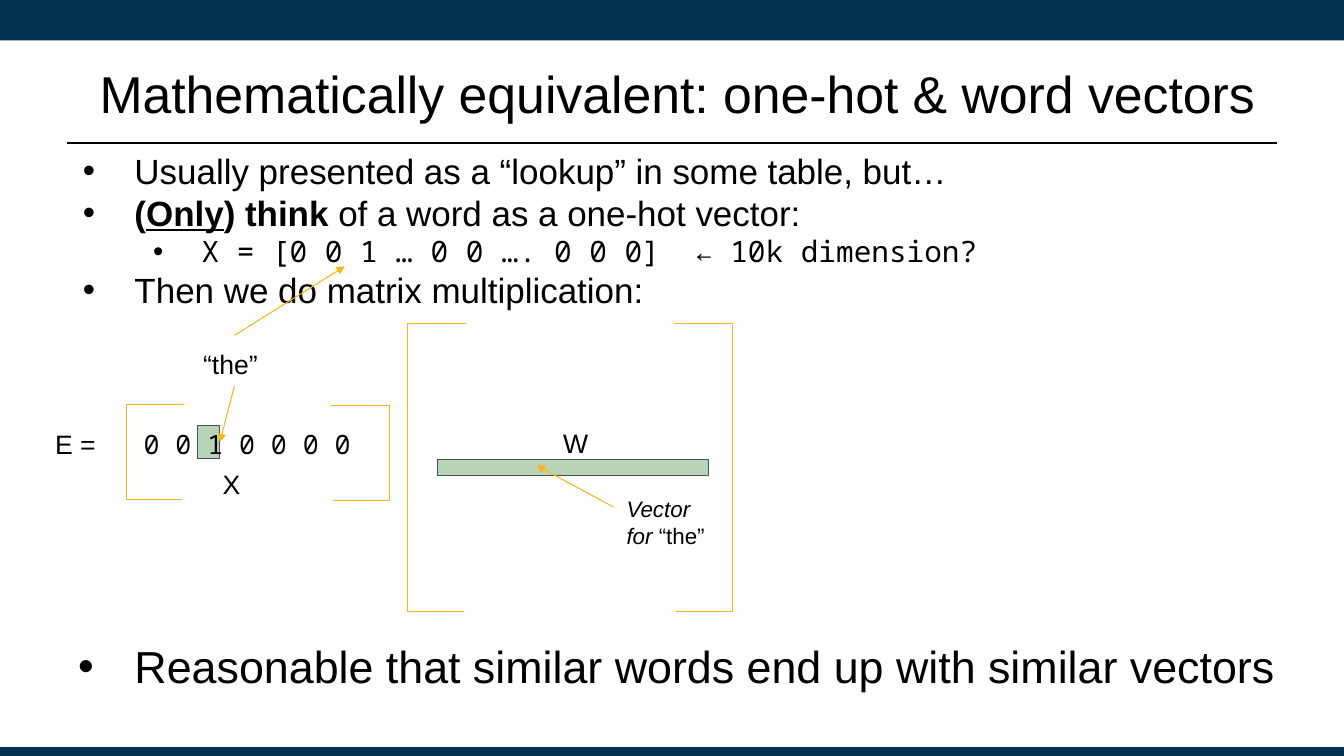
"""Build the slide on one-hot vectors and word vectors."""
from dataclasses import dataclass

from lxml import etree
from pptx import Presentation
from pptx import util as u
from pptx.dml.color import RGBColor
from pptx.enum import shapes, text
from pptx.oxml import ns

Cm = u.Cm


@dataclass(frozen=True)
class Theme:
    """Colours, fonts and type sizes of the slide."""

    navy: str = "003252"
    ink: str = "000000"
    gold: str = "FDB515"
    green: str = "B9D3B6"
    slate: str = "46535E"
    sans: str = "Arial"
    mono: str = "Noto Sans Mono"
    title: int = 37
    conclusion: int = 32
    body: int = 25
    code: int = 21
    label: int = 19
    note: int = 16


THEME = Theme()
INSET = (0.33, 0.33)
BODY_INSET = (0.25, 0.13)


def rgb(colour):
    """Turn a hex string into a colour."""
    return RGBColor.from_string(colour)


def add_run(paragraph, words, size, font=THEME.sans, **style):
    """Add one run, with bold, italic or underline given as style."""
    run = paragraph.add_run()
    run.text = words
    run.font.size = u.Pt(size)
    run.font.name = font
    run.font.color.rgb = rgb(THEME.ink)
    for name, value in style.items():
        setattr(run.font, name, value)


def add_frame(slide, box, inset=INSET, anchor=text.MSO_ANCHOR.TOP):
    """Add a wrapping text box and return it."""
    holder = slide.shapes.add_textbox(*map(Cm, box))
    frame = holder.text_frame
    frame.word_wrap = True
    frame.vertical_anchor = anchor
    frame.margin_left = frame.margin_right = Cm(inset[0])
    frame.margin_top = frame.margin_bottom = Cm(inset[1])
    return holder


def add_label(slide, box, words, size=THEME.label, **style):
    """Add a text box with a single run and return it."""
    label = add_frame(slide, box)
    add_run(label.text_frame.paragraphs[0], words, size, **style)
    return label


def add_bullet(paragraph, margin, hanging, level=0):
    """Give a paragraph a round bullet with a hanging indent."""
    paragraph.level = level
    properties = paragraph._p.get_or_add_pPr()
    properties.set("marL", str(Cm(margin)))
    properties.set("indent", str(-Cm(hanging)))
    colour = etree.SubElement(properties, ns.qn("a:buClr"))
    etree.SubElement(colour, ns.qn("a:srgbClr"), val=THEME.ink)
    etree.SubElement(properties, ns.qn("a:buFont"), typeface=THEME.sans)
    etree.SubElement(properties, ns.qn("a:buChar"), char="•")


def add_block(slide, box, fill, outline=None):
    """Add a filled rectangle and return it."""
    block = slide.shapes.add_shape(shapes.MSO_SHAPE.RECTANGLE, *map(Cm, box))
    block.shadow.inherit = False
    block.fill.solid()
    block.fill.fore_color.rgb = rgb(fill)
    if outline:
        block.line.color.rgb = rgb(outline)
        block.line.width = u.Pt(0.75)
    else:
        block.line.fill.background()
    return block


def add_line(slide, start, end, colour, width):
    """Add a straight connector without shadow and return it."""
    line = slide.shapes.add_connector(
        shapes.MSO_CONNECTOR.STRAIGHT, *map(Cm, start + end))
    line.line.color.rgb = rgb(colour)
    line.line.width = u.Pt(width)
    etree.SubElement(line._element.spPr, ns.qn("a:effectLst"))
    return line


def add_arrow(slide, start, end, source, side):
    """Add a gold arrow that leaves the given side of a label."""
    arrow = add_line(slide, start, end, THEME.gold, 0.75)
    etree.SubElement(arrow.line._get_or_add_ln(), ns.qn("a:tailEnd"), type="triangle")
    arrow.begin_connect(source, side)
    return arrow


def add_bracket(slide, spine, top, bottom, direction):
    """Draw a square bracket whose arms point right (1) or left (-1)."""
    upper_tip = spine + direction * 1.47
    lower_tip = spine + direction * 1.42
    outline = slide.shapes.build_freeform(Cm(upper_tip), Cm(top))
    corners = [(spine, top), (spine, bottom), (lower_tip, bottom)]
    outline.add_line_segments([(Cm(x), Cm(y)) for x, y in corners], close=False)
    bracket = outline.convert_to_shape()
    bracket.shadow.inherit = False
    bracket.fill.background()
    bracket.line.color.rgb = rgb(THEME.gold)
    bracket.line.width = u.Pt(0.75)


def add_master_bands(slide):
    """Draw the navy bands and the rule below the title."""
    add_block(slide, (0, 0, 33.87, 1.02), THEME.navy)
    add_block(slide, (0, 18.83, 33.87, 0.22), THEME.navy)
    add_line(slide, (1.7, 3.61), (32.18, 3.61), THEME.ink, 1.25)


def add_points(slide):
    """Write the title, the bullet list and the conclusion."""
    heading = add_frame(slide, (2.26, 0.22, 31.2, 4.24), BODY_INSET, text.MSO_ANCHOR.MIDDLE)
    add_run(heading.text_frame.paragraphs[0],
            "Mathematically equivalent: one-hot & word vectors", THEME.title)

    points = add_frame(slide, (1.44, 4.3, 30.48, 3.66), BODY_INSET,
                       text.MSO_ANCHOR.BOTTOM).text_frame
    lookup = points.paragraphs[0]
    one_hot, example, product = [points.add_paragraph() for _ in range(3)]
    for point in (lookup, one_hot, product):
        add_bullet(point, 1.7, 1.3)
    add_bullet(example, 3.39, 1.22, level=1)
    add_run(lookup, "Usually presented as a “lookup” in some table, but…", THEME.body)
    add_run(one_hot, "(", THEME.body, bold=True)
    add_run(one_hot, "Only", THEME.body, bold=True, underline=True)
    add_run(one_hot, ") think ", THEME.body, bold=True)
    add_run(one_hot, "of a word as a one-hot vector:", THEME.body)
    add_run(example, "X = [0 0 1 … 0 0 …. 0 0 0]  ← 10k dimension?",
            THEME.code, THEME.mono)
    add_run(product, "Then we do matrix multiplication:", THEME.body)

    conclusion = add_frame(slide, (1.44, 15.97, 31.5, 1.85), BODY_INSET)
    similar = conclusion.text_frame.paragraphs[0]
    add_bullet(similar, 1.7, 1.42)
    add_run(similar, "Reasonable that similar words end up with similar vectors",
            THEME.conclusion)


def add_product(slide):
    """Draw the product of the one-hot vector X and the matrix W."""
    hot_cell = add_block(slide, (4.98, 10.72, 0.56, 0.84), THEME.green, THEME.slate)
    add_label(slide, (3.29, 10.46, 6.2, 1.27), "0 0 1 0 0 0 0", font=THEME.mono)
    add_bracket(slide, 10.27, 8.15, 15.42, 1)
    add_bracket(slide, 18.46, 8.15, 15.42, -1)
    add_bracket(slide, 3.18, 10.19, 12.58, 1)
    add_bracket(slide, 9.82, 10.22, 12.61, -1)
    add_label(slide, (13.86, 10.43, 1.6, 1.27), "W")
    add_label(slide, (5.28, 11.46, 1.24, 1.09), "X")
    add_label(slide, (1.06, 10.46, 1.93, 1.27), "E =")
    add_block(slide, (11.03, 11.59, 6.83, 0.4), THEME.green, THEME.slate)

    word = add_label(slide, (4.79, 8.45, 2.24, 1.27), "“the”")
    add_arrow(slide, (5.91, 9.72), (5.54, 11.14), word, 2).end_connect(hot_cell, 3)
    add_arrow(slide, (5.91, 8.45), (8.69, 6.71), word, 0)

    row_note = add_label(slide, (15.46, 12.14, 2.82, 1.27), "Vector for ",
                         THEME.note, italic=True)
    add_run(row_note.text_frame.paragraphs[0], "“the”", THEME.note)
    add_arrow(slide, (15.46, 12.78), (13.52, 11.73), row_note, 1)


def main():
    """Build and save the slide."""
    deck = Presentation()
    deck.slide_width, deck.slide_height = Cm(33.87), Cm(19.05)
    slide = deck.slides.add_slide(deck.slide_layouts[6])
    add_master_bands(slide)
    add_points(slide)
    add_product(slide)
    deck.save("out.pptx")


if __name__ == "__main__":
    main()
